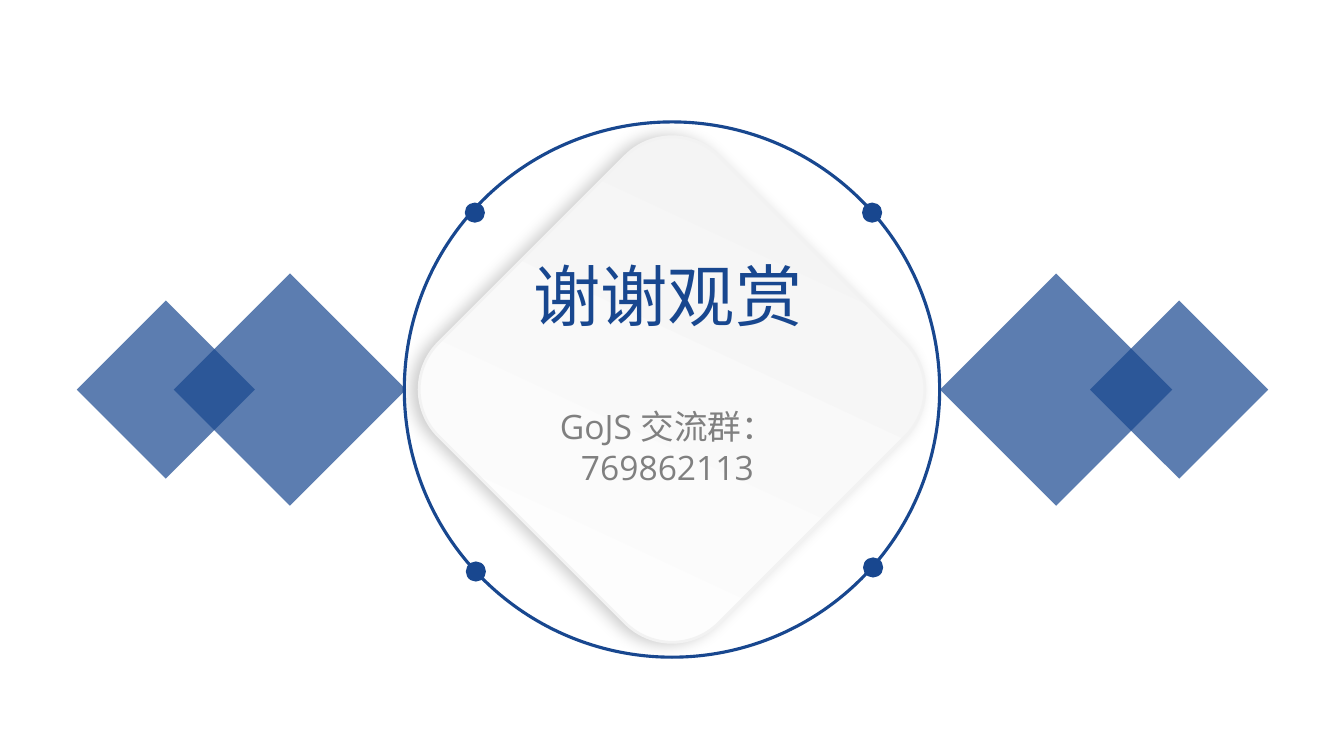
"""Build the closing thank-you slide with a framed diamond card."""
from lxml.etree import SubElement
from pptx import Presentation
from pptx.dml.color import RGBColor
from pptx.enum.shapes import MSO_SHAPE
from pptx.enum.text import MSO_ANCHOR, MSO_AUTO_SIZE, PP_ALIGN
from pptx.oxml.ns import qn
from pptx.util import Inches, Pt

COLORS = {
    "navy": "18478F",
    "grey": "808080",
    "white": "FFFFFF",
    "mist": "F2F2F2",
    "black": "000000",
}


def rgb(name):
    return RGBColor.from_string(COLORS[name])


def add_figure(kind, left, top, size, rotation=0):
    figure = slide.shapes.add_shape(
        kind, Inches(left), Inches(top), Inches(size), Inches(size))
    figure.rotation = rotation
    figure.shadow.inherit = False
    return figure


prs = Presentation()
prs.slide_width, prs.slide_height = Inches(13.33), Inches(7.5)
slide = prs.slides.add_slide(prs.slide_layouts[0])

for left, top, size, rotation in [
    (2.06, 3.05, 1.63, 45),
    (1.02, 3.24, 1.25, 45),
    (9.66, 3.05, 1.63, 225),
    (11.07, 3.24, 1.25, 225),
]:
    diamond = add_figure(MSO_SHAPE.RECTANGLE, left, top, size, rotation)
    diamond.fill.solid()
    diamond.fill.fore_color.rgb = rgb("navy")
    diamond.line.fill.background()
    tint = diamond.element.spPr.find(f"{qn('a:solidFill')}/{qn('a:srgbClr')}")
    SubElement(tint, qn("a:alpha"), val="70000")

card = add_figure(MSO_SHAPE.ROUNDED_RECTANGLE, 4.7, 1.9, 3.93, 45)
card.fill.gradient()
card.fill.gradient_angle = 110
for stop, shade, position in zip(card.fill.gradient_stops, ("white", "mist"), (0, 1)):
    stop.color.rgb = rgb(shade)
    stop.position = position
card.line.color.rgb = rgb("mist")
card.line.width = Pt(2)
card_shadow = SubElement(
    card.element.spPr.find(qn("a:effectLst")), qn("a:outerShdw"),
    blurRad=str(Pt(11)), dist=str(Pt(5)), dir="10800000", algn="ctr", rotWithShape="0")
shadow_color = SubElement(card_shadow, qn("a:srgbClr"), val=COLORS["black"])
SubElement(shadow_color, qn("a:alpha"), val="20000")

ring = add_figure(MSO_SHAPE.OVAL, 4.01, 1.21, 5.31)
ring.fill.background()
ring.line.color.rgb = rgb("navy")
ring.line.width = Pt(2.25)

thanks, contact = slide.shapes.title, slide.placeholders[1]
for holder, words, box, size, color, wraps in [
    (contact, "GoJS 交流群：769862113", (4.77, 3.98, 3.7, 0.91), 24, "grey", True),
    (thanks, "谢谢观赏", (5.19, 2.47, 2.87, 0.91), 48, "navy", False),
]:
    holder.element.getparent().append(holder.element)
    holder.left, holder.top, holder.width, holder.height = map(Inches, box)
    frame = holder.text_frame
    frame.text = words
    frame.word_wrap = wraps
    frame.auto_size = MSO_AUTO_SIZE.SHAPE_TO_FIT_TEXT
    frame.vertical_anchor = MSO_ANCHOR.TOP
    line = frame.paragraphs[0]
    line.alignment = PP_ALIGN.CENTER
    line.space_before = Pt(0)
    line.font.name = "Open Sans"
    line.font.size = Pt(size)
    line.font.color.rgb = rgb(color)

for left, top in [(4.61, 2.01), (8.56, 5.53), (4.62, 5.57), (8.55, 2.01)]:
    dot = add_figure(MSO_SHAPE.OVAL, left, top, 0.2)
    dot.fill.solid()
    dot.fill.fore_color.rgb = rgb("navy")
    dot.line.fill.background()

prs.save("out.pptx")
